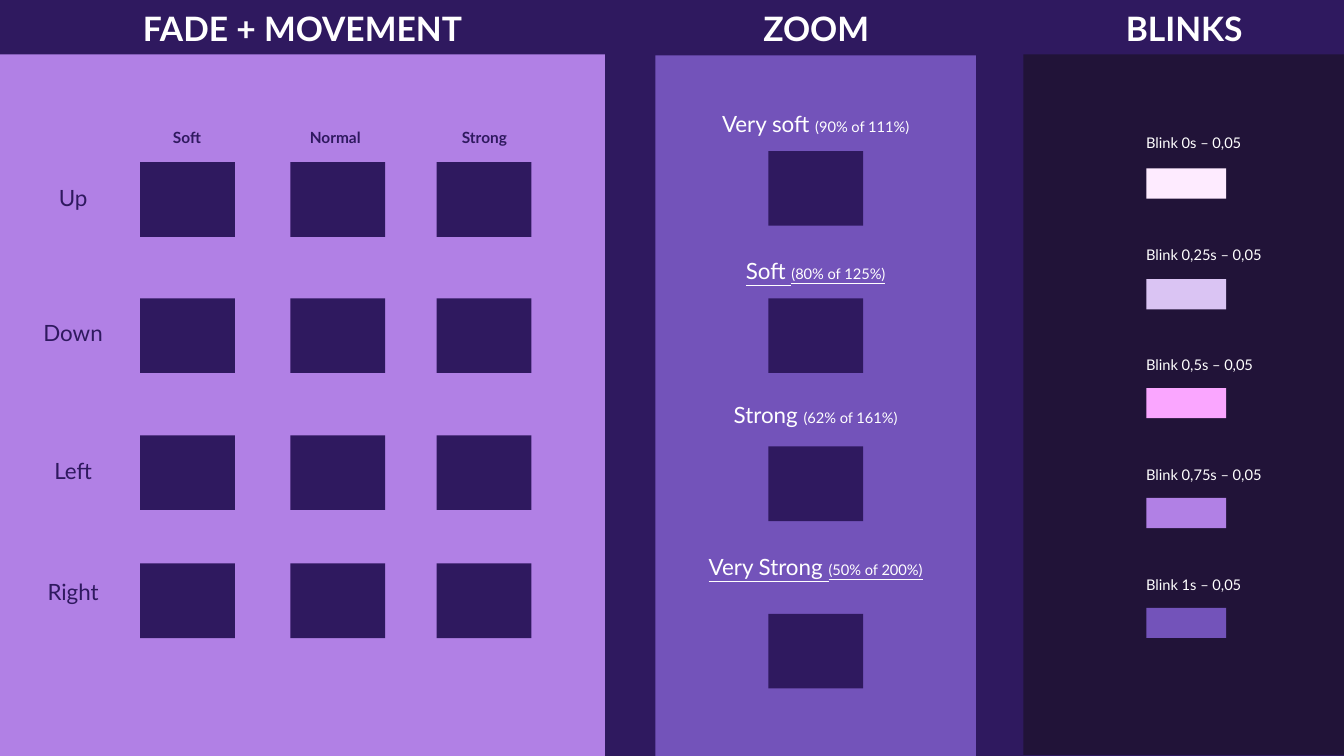
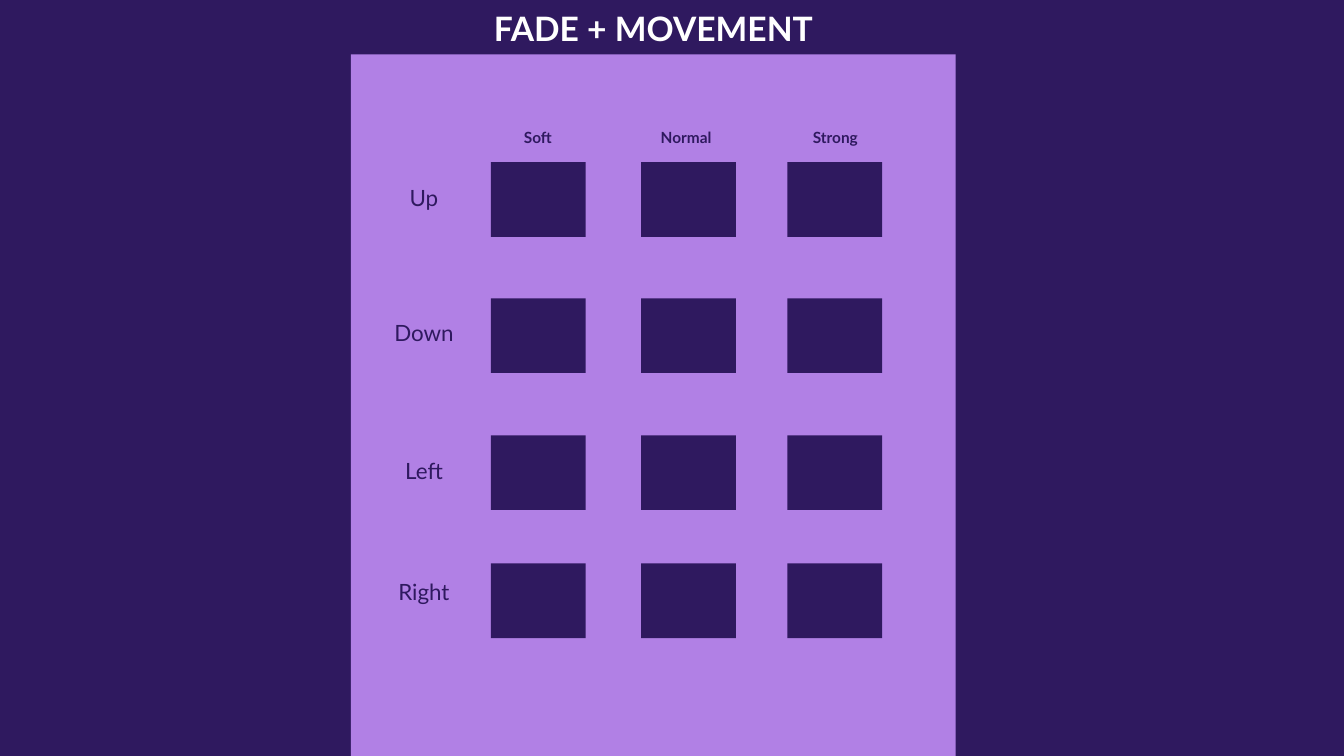
from typing import NamedTuple

from pptx import Presentation
from pptx.dml.color import RGBColor as Rgb
from pptx.enum.shapes import MSO_SHAPE as Shape
from pptx.enum.text import MSO_ANCHOR as Anchor, MSO_AUTO_SIZE as Fit, PP_ALIGN as Align
from pptx.slide import Slide
from pptx.util import Emu, Pt

# Shared style: 100 px to the inch
SCALE = 9144
WIDE, HIGH = 1333, 750
FONT = "Lato"
HUES = {
    "night": "2F195F", "black": "211338", "plum": "7353BA", "lilac": "B180E5",
    "mist": "DAC4F3", "pink": "FAA6FF", "blush": "FEEBFF", "white": "FFFFFF",
}
TOP = 54
TILE_W, TILE_H = 94, 74
BAR_W, BAR_H = 79, 30


class Box(NamedTuple):
    x: int
    y: int
    w: int
    h: int


class Span(NamedTuple):
    text: str
    size: float
    hue: str = "white"
    bold: bool = False
    under: bool = False


class Line(NamedTuple):
    name: str
    label: int  # label offset: x for a column, y for a row
    tile: int   # tile offset, same axis


class Zoom(NamedTuple):
    name: str
    note: str
    label: int
    tile: int
    under: bool


class Blink(NamedTuple):
    name: str
    label: int
    bar: int
    hue: str
    wide: int


COLS = [Line("Soft", 146, 139), Line("Normal", 293, 288), Line("Strong", 441, 433)]
ROWS = [Line("Up", 178, 161), Line("Down", 312, 296),
        Line("Left", 449, 432), Line("Right", 569, 559)]
ZOOMS = [
    Zoom("Very soft ", "(90% of 111%)", 104, 150, False),
    Zoom("Soft ", "(80% of 125%)", 250, 296, True),
    Zoom("Strong ", "(62% of 161%)", 393, 443, False),
    Zoom("Very Strong ", "(50% of 200%)", 544, 609, True),
]
BLINKS = [
    Blink("Blink 0s – 0,05", 128, 167, "blush", 114),
    Blink("Blink 0,25s – 0,05", 239, 277, "mist", 150),
    Blink("Blink 0,5s – 0,05", 348, 385, "pink", 150),
    Blink("Blink 0,75s – 0,05", 457, 494, "lilac", 150),
    Blink("Blink 1s – 0,05", 566, 603, "plum", 114),
]


def px(num: int) -> Emu:
    return Emu(num * SCALE)


def tint(hue: str) -> Rgb:
    return Rgb.from_string(HUES[hue])


def rect(slide: Slide, box: Box, hue: str) -> None:
    shape = slide.shapes.add_shape(Shape.RECTANGLE, *map(px, box))
    shape.shadow.inherit = False
    shape.fill.solid()
    shape.fill.fore_color.rgb = tint(hue)
    shape.line.fill.background()


def text(slide: Slide, box: Box, spans: list[Span],
         align: Align = Align.CENTER, main: bool = False) -> None:
    if main:
        shape = slide.shapes.title
        shape.left, shape.top, shape.width, shape.height = map(px, box)
    else:
        shape = slide.shapes.add_textbox(*map(px, box))
    frame = shape.text_frame
    frame.word_wrap = True
    frame.auto_size = Fit.NONE
    frame.vertical_anchor = Anchor.TOP
    para = frame.paragraphs[0]
    para.alignment = align
    for span in spans:
        run = para.add_run()
        run.text = span.text
        font = run.font
        font.name, font.size = FONT, Pt(span.size)
        font.bold, font.underline = span.bold, span.under
        font.color.rgb = tint(span.hue)


def head(slide: Slide, x: int, w: int, name: str, main: bool = False) -> None:
    text(slide, Box(x, 3, w, 50), [Span(name, 24, bold=True)], main=main)


def fade(slide: Slide, left: int) -> None:
    """Panel with a grid of directions by strength."""
    rect(slide, Box(left, TOP, 600, HIGH - TOP), "lilac")
    head(slide, left + 122, 356, "FADE + MOVEMENT", main=True)
    for col in COLS:
        text(slide, Box(left + col.label, 122, 79, 29),
             [Span(col.name, 11, "night", bold=True)])
    for row in ROWS:
        text(slide, Box(left + 33, row.label, 79, 37), [Span(row.name, 16, "night")])
        for col in COLS:
            rect(slide, Box(left + col.tile, row.tile, TILE_W, TILE_H), "night")


def zoom(slide: Slide) -> None:
    """Panel with a column of zoom steps."""
    rect(slide, Box(650, TOP + 1, 318, HIGH - TOP - 1), "plum")
    head(slide, 704, 211, "ZOOM")
    for step in ZOOMS:
        text(slide, Box(688, step.label, 242, 37),
             [Span(step.name, 16, under=step.under),
              Span(step.note, 10.5, under=step.under)])
        rect(slide, Box(762, step.tile, TILE_W, TILE_H), "night")


def blink(slide: Slide) -> None:
    """Panel with a column of coloured bars."""
    rect(slide, Box(1015, TOP, 318, 695), "black")
    head(slide, 1069, 211, "BLINKS")
    for step in BLINKS:
        rect(slide, Box(1137, step.bar, BAR_W, BAR_H), step.hue)
        text(slide, Box(1127, step.label, step.wide, 28),
             [Span(step.name, 10.5)], Align.LEFT)


def main() -> None:
    deck = Presentation()
    deck.slide_width, deck.slide_height = px(WIDE), px(HIGH)
    back = deck.slide_master.background.fill
    back.solid()
    back.fore_color.rgb = tint("night")
    plain = deck.slide_layouts[5]

    # Slide 1: all three effects
    slide = deck.slides.add_slide(plain)
    fade(slide, 0)
    zoom(slide)
    blink(slide)

    # Slide 2: fade panel alone
    fade(deck.slides.add_slide(plain), 348)

    deck.save("out.pptx")


if __name__ == "__main__":
    main()
